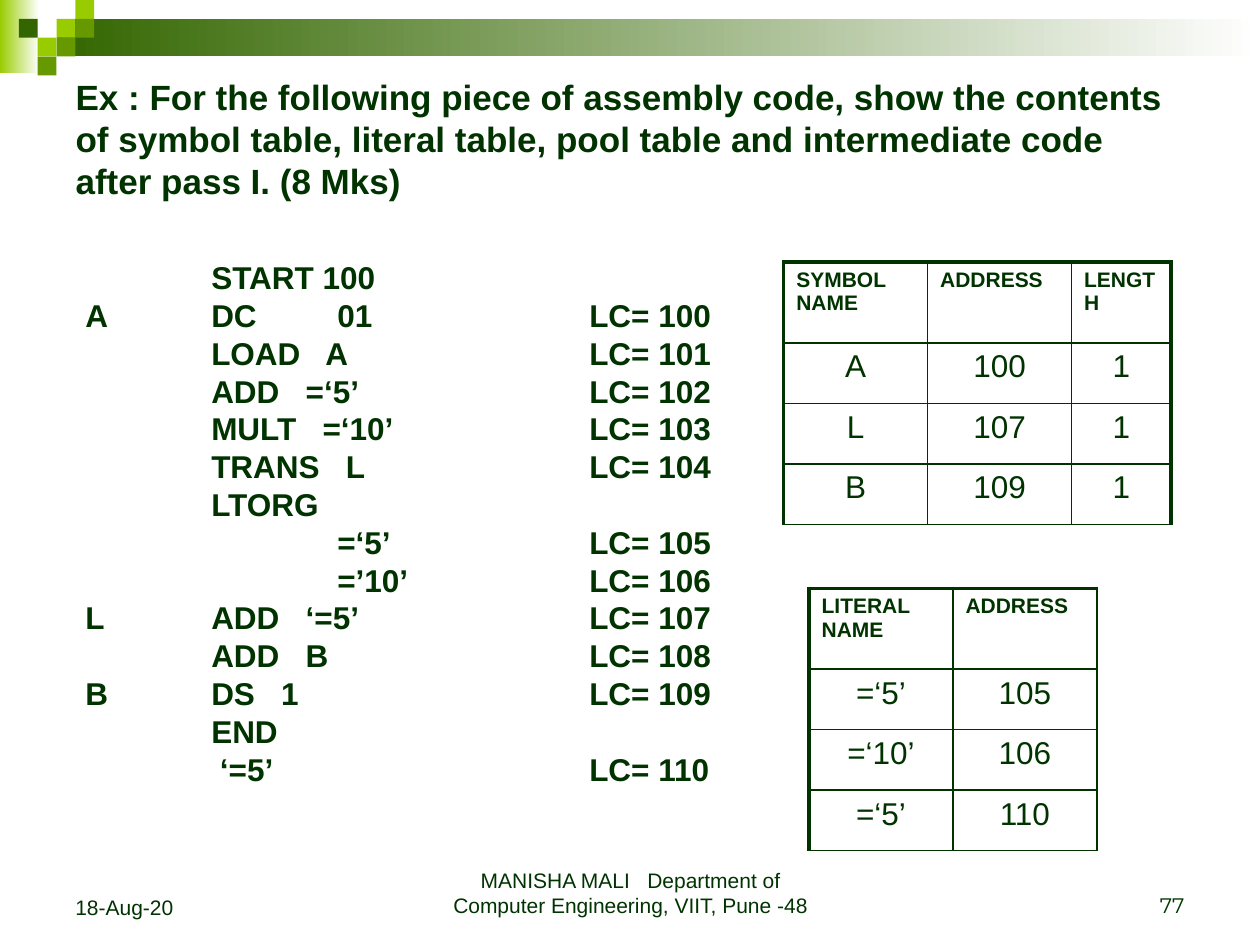
from lxml.etree import SubElement
from pptx import Presentation
from pptx.dml.color import RGBColor
from pptx.enum.shapes import MSO_SHAPE
from pptx.enum.text import MSO_ANCHOR as ANCHOR, PP_ALIGN as ALIGN
from pptx.oxml.ns import qn
from pptx.util import Cm, Pt

COLORS = {"ink": "003300", "lime": "99CC00", "leaf": "669900",
          "forest": "336600", "white": "FFFFFF"}

TITLE = ("Ex : For the following piece of assembly code, show the contents of symbol "
         "table, literal table, pool table and intermediate code after pass I. (8 Mks)")

# label, instruction, operand column, location counter
CODE = [
    ("", "START 100", "", ""),
    ("A ", "DC ", "01", "LC= 100"),
    ("", "LOAD   A", "", "LC= 101"),
    ("", "ADD   =‘5’", "", "LC= 102"),
    ("", "MULT   =‘10’", "", "LC= 103"),
    ("", "TRANS   L", "", "LC= 104"),
    ("", "LTORG", "", ""),
    ("", "", "=‘5’", "LC= 105"),
    ("", "", "=’10’", "LC= 106"),
    ("L ", "ADD   ‘=5’", "", "LC= 107"),
    ("", "ADD   B", "", "LC= 108"),
    ("B ", "DS   1", "", "LC= 109"),
    ("", "END", "", ""),
    ("", " ‘=5’ ", "", "LC= 110"),
]
TAB_STOPS = (2.54, 5.08, 10.16)  # instruction, operand, location counter

# left, top, column widths, right border width, rows
TABLES = [
    (15.8, 5.28, (2.9, 2.9, 2.01), 2.25, [
        ("SYMBOL NAME", "ADDRESS", "LENGTH"),
        ("A", "100", "1"), ("L", "107", "1"), ("B", "109", "1")]),
    (16.31, 11.86, (2.9, 2.9), 1, [
        ("LITERAL NAME", "ADDRESS"),
        ("=‘5’", "105"), ("=‘10’", "106"), ("=‘5’", "110")]),
]
HEAD_H, ROW_H = 1.63, 1.22

# left, width, height, alignment, font, text
FOOTERS = [
    (1.27, 5.92, 1.32, ALIGN.LEFT, "Arial", "18-Aug-20"),
    (8.69, 8.05, 1.27, ALIGN.CENTER, "Arial",
     "MANISHA MALI   Department of Computer Engineering, VIIT, Pune -48"),
    (18.21, 5.92, 1.27, ALIGN.RIGHT, "Montserrat", "77"),
]

# column, row, colour of the corner squares
SQUARE = 0.38
SQUARES = [(3, 1, "lime"), (4, 0, "lime"), (4, 1, "leaf"), (2, 2, "lime"),
           (1, 1, "forest"), (3, 2, "leaf"), (2, 3, "leaf")]


def rgb(name):
    return RGBColor.from_string(COLORS[name])


def style(p, size, bold=False, font="Arial", align=ALIGN.LEFT):
    p.alignment = align
    p.font.size, p.font.bold, p.font.name = Pt(size), bold, font
    p.font.color.rgb = rgb("ink")


def add_rect(slide, left, top, width, height, color, fade=False):
    sp = slide.shapes.add_shape(MSO_SHAPE.RECTANGLE, Cm(left), Cm(top), Cm(width), Cm(height))
    sp.shadow.inherit = False
    sp.line.fill.background()
    if fade:
        sp.fill.gradient()
        sp.fill.gradient_angle = 0
        for stop, name in zip(sp.fill.gradient_stops, (color, "white")):
            stop.color.rgb = rgb(name)
    else:
        sp.fill.solid()
        sp.fill.fore_color.rgb = rgb(color)


def add_text(slide, left, top, width, height, anchor=ANCHOR.TOP):
    tf = slide.shapes.add_textbox(Cm(left), Cm(top), Cm(width), Cm(height)).text_frame
    tf.word_wrap = True
    tf.vertical_anchor = anchor
    return tf


def set_tabs(p, stops):
    tabs = SubElement(p._p.get_or_add_pPr(), qn("a:tabLst"))
    for stop in stops:
        SubElement(tabs, qn("a:tab"), pos=str(Cm(stop)), algn="l")


def set_borders(cell, widths):
    tcPr = cell._tc.get_or_add_tcPr()
    for i, (side, width) in enumerate(zip("LRTB", widths)):
        ln = tcPr.makeelement(qn(f"a:ln{side}"), {"w": str(Pt(width))})
        fill = SubElement(ln, qn("a:solidFill"))
        SubElement(fill, qn("a:srgbClr"), val=COLORS["ink"])
        tcPr.insert(i, ln)


def add_table(slide, left, top, col_widths, right_border, rows):
    height = HEAD_H + ROW_H * (len(rows) - 1)
    table = slide.shapes.add_table(len(rows), len(col_widths), Cm(left), Cm(top),
                                   Cm(sum(col_widths)), Cm(height)).table
    for column, width in zip(table.columns, col_widths):
        column.width = Cm(width)
    for r, row in enumerate(rows):
        head = r == 0
        size = 12 if head else 18
        table.rows[r].height = Cm(HEAD_H if head else ROW_H)
        for c, text in enumerate(row):
            cell = table.cell(r, c)
            cell.fill.background()
            cell.text = text
            p = cell.text_frame.paragraphs[0]
            p.space_before = Pt(size * 0.2)
            style(p, size, head, align=ALIGN.LEFT if head else ALIGN.CENTER)
            last = c == len(row) - 1
            set_borders(cell, (2.25 if c == 0 else 1, right_border if last else 1,
                               2.25 if head else 1, 1))


def main():
    prs = Presentation()
    prs.slide_width, prs.slide_height = Cm(25.4), Cm(19.05)
    slide = prs.slides.add_slide(prs.slide_layouts[5])

    # Corner decoration
    add_rect(slide, 0, 0, 0.79, 1.47, "lime", fade=True)
    add_rect(slide, 1.14, SQUARE, 24.26, 0.76, "forest", fade=True)
    for col, row, color in SQUARES:
        add_rect(slide, col * SQUARE, row * SQUARE, SQUARE, SQUARE, color)

    # Title
    title = slide.shapes.title
    title.left, title.top, title.width, title.height = Cm(1.27), Cm(1.27), Cm(22.86), Cm(3.81)
    tf = title.text_frame
    tf.text = TITLE
    tf.vertical_anchor = ANCHOR.TOP
    tf.margin_top = Cm(0.25)
    style(tf.paragraphs[0], 20, True)

    # Footer line
    for left, width, height, align, font, text in FOOTERS:
        tf = add_text(slide, left, 17.35, width, height, ANCHOR.BOTTOM)
        tf.text = text
        style(tf.paragraphs[0], 12, font=font, align=align)

    # Assembly listing
    tf = add_text(slide, 1.47, 5.08, 14.4, 11.02)
    for i, (label, instruction, operand, counter) in enumerate(CODE):
        p = tf.add_paragraph() if i else tf.paragraphs[0]
        cells = [(instruction, TAB_STOPS[0]), (operand, TAB_STOPS[1]), (counter, TAB_STOPS[2])]
        used = [(text, stop) for text, stop in cells if text]
        p.text = "\t".join([label] + [text for text, _ in used])
        p.line_spacing = Pt(21.6)
        set_tabs(p, [stop for _, stop in used])
        style(p, 18, True)

    # Symbol and literal tables
    for table in TABLES:
        add_table(slide, *table)

    prs.save("out.pptx")


if __name__ == "__main__":
    main()
